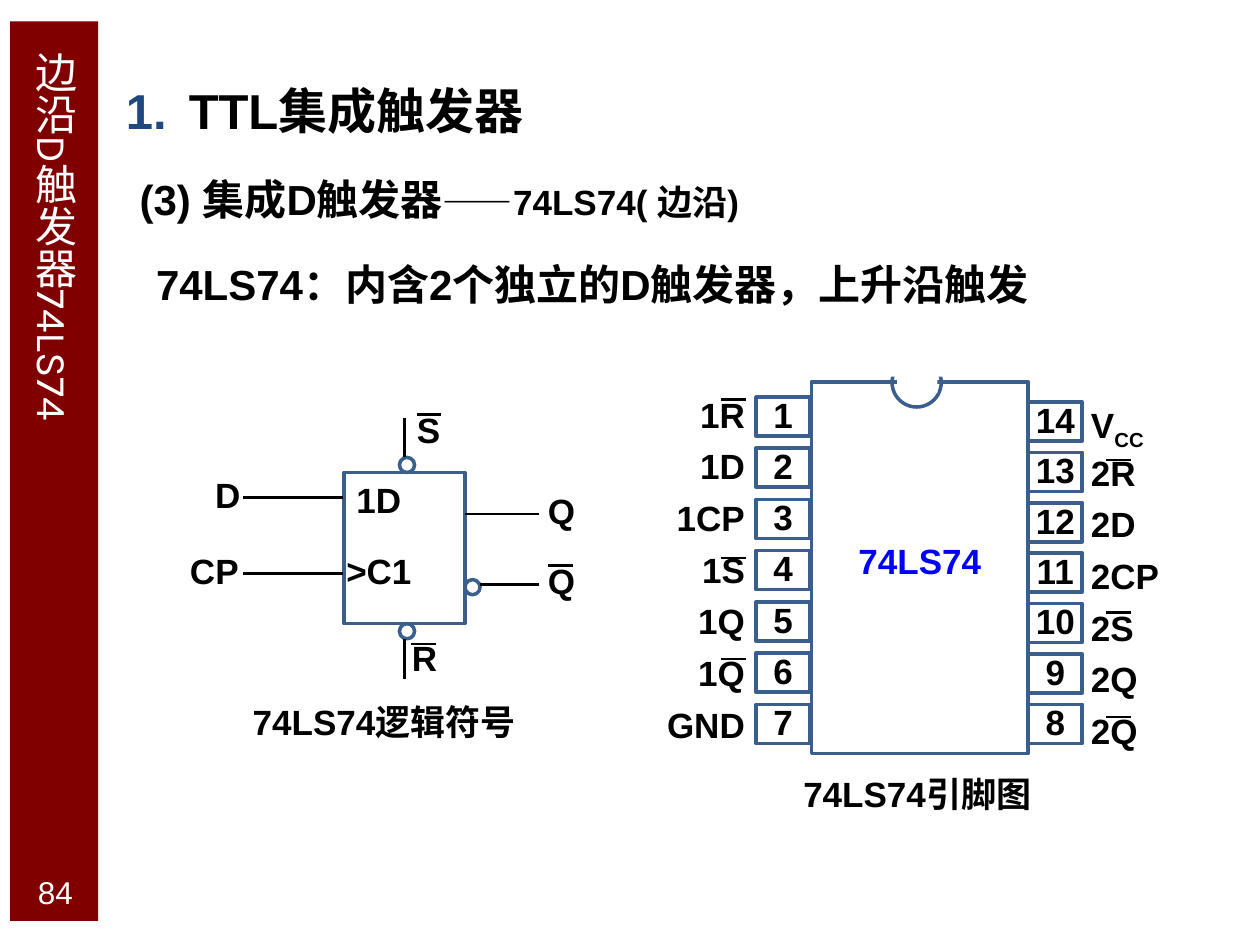
import pptx
import pptx.dml.color
import pptx.enum.shapes
import pptx.enum.text
import pptx.oxml.ns
import pptx.util
from lxml import etree
from pptx.util import Inches, Pt

COLOURS = {"band": "800000", "white": "FFFFFF", "black": "000000",
           "outline": "3A5F8C", "number": "1F497D", "chip": "0000FF"}
ALIGN = pptx.enum.text.PP_ALIGN
SHAPE = pptx.enum.shapes.MSO_SHAPE
RGB = pptx.dml.color.RGBColor.from_string
qn = pptx.oxml.ns.qn


def add_text(shapes, left, top, width, height, *spans, size=20,
             align=ALIGN.LEFT, colour="black", indent=0):
    """Add a bold one-paragraph text box with a hanging indent; return the paragraph."""
    box = shapes.add_textbox(Inches(left), Inches(top), Inches(width), Inches(height))
    box.text_frame.word_wrap = True
    box.text_frame.auto_size = pptx.enum.text.MSO_AUTO_SIZE.SHAPE_TO_FIT_TEXT
    para = box.text_frame.paragraphs[0]
    para.alignment = align
    para.line_spacing = 0.9
    if indent:
        properties = para._p.get_or_add_pPr()
        properties.set("marL", str(Inches(indent)))
        properties.set("indent", str(-Inches(indent)))
    for words in spans:
        span = para.add_run()
        span.text = words
        span.font.name = "Arial"
        span.font.size = Pt(size)
        span.font.bold = True
        span.font.color.rgb = RGB(COLOURS[colour])
    return para


def add_shape(shapes, kind, left, top, width, height, fill=None, line=None):
    shape = shapes.add_shape(kind, Inches(left), Inches(top), Inches(width), Inches(height))
    shape.shadow.inherit = False
    if fill:
        shape.fill.solid()
        shape.fill.fore_color.rgb = RGB(COLOURS[fill])
    else:
        shape.fill.background()
    if line:
        shape.line.color.rgb = RGB(COLOURS[line])
        shape.line.width = Pt(2)
    else:
        shape.line.fill.background()
    return shape


deck = pptx.Presentation()
deck.slide_width, deck.slide_height = Inches(10), Inches(7.5)
page = deck.slides.add_slide(deck.slide_layouts[5])

# Side band with the vertical title
band = add_shape(page.shapes, SHAPE.RECTANGLE, 0.08, 0.17, 0.7, 7.14, fill="band")
page.shapes._spTree.insert(2, band._element)
title = page.shapes.title
title.left, title.top, title.width, title.height = map(Inches, (0.13, 0.36, 0.61, 5.73))
title.text_frame.text = "边沿D触发器74LS74"
title.text_frame.word_wrap = True
title.text_frame.auto_size = pptx.enum.text.MSO_AUTO_SIZE.NONE
title.text_frame.vertical_anchor = pptx.enum.text.MSO_ANCHOR.MIDDLE
title.text_frame._txBody.bodyPr.set("vert", "eaVert")
para = title.text_frame.paragraphs[0]
para.alignment = ALIGN.LEFT
para.runs[0].font.name = "Karla"
para.runs[0].font.size = Pt(24)
para.runs[0].font.color.rgb = RGB(COLOURS["white"])

# Headings and captions
heading = add_text(page.shapes, 0.9, 0.64, 9.1, 0.57, "TTL集成触发器", size=28, indent=0.5)
properties = heading._p.get_or_add_pPr()
bullet_colour = etree.SubElement(properties, qn("a:buClr"))
etree.SubElement(bullet_colour, qn("a:srgbClr"), val=COLOURS["number"])
etree.SubElement(properties, qn("a:buFont"), typeface="+mj-lt")
etree.SubElement(properties, qn("a:buAutoNum"), type="arabicPeriod")

subheading = add_text(page.shapes, 1.01, 1.37, 8.99, 0.5, "(3) 集成D触发器",
                      "——74LS74( 边沿)", size=24, indent=0.5)
subheading.runs[1].font.size = Pt(20)
add_text(page.shapes, 1.14, 2.05, 8.86, 0.5,
         "74LS74：内含2个独立的D触发器，上升沿触发", size=24, indent=0.38)
add_text(page.shapes, 1.61, 5.55, 2.88, 0.43, "74LS74逻辑符号", align=ALIGN.CENTER, indent=0.38)
add_text(page.shapes, 6.04, 6.12, 2.48, 0.43, "74LS74引脚图", align=ALIGN.CENTER, indent=0.38)

# Logic symbol
symbol = page.shapes.add_group_shape().shapes
add_shape(symbol, SHAPE.RECTANGLE, 2.73, 3.75, 0.96, 1.2, line="outline")
for left, top in [(3.69, 4.6), (3.17, 3.63), (3.17, 4.95)]:
    add_shape(symbol, SHAPE.OVAL, left, top, 0.12, 0.12, line="outline")
for label, left, top in [(">C1", 2.65, 4.35), ("1D", 2.73, 3.79), ("Q", 4.25, 3.87),
                         ("D", 1.61, 3.75), ("CP", 1.41, 4.35), ("Q", 4.25, 4.43),
                         ("S", 3.21, 3.23), ("R", 3.17, 5.04)]:
    add_text(symbol, left, top, 0.76, 0.4, label)
lines = [(symbol, *ends) for ends in [
    (1.93, 3.95, 2.72, 3.95), (1.93, 4.55, 2.72, 4.55),
    (3.81, 4.64, 4.28, 4.64), (3.69, 4.08, 4.28, 4.08),
    (3.21, 3.32, 3.21, 3.63), (3.21, 5.07, 3.21, 5.39),
    (3.31, 3.29, 3.5, 3.29), (3.26, 5.11, 3.46, 5.11), (4.35, 4.49, 4.55, 4.49)]]

# Chip body, with white covers that leave only the lower half of the notch
chip = page.shapes.add_group_shape().shapes
add_shape(chip, SHAPE.RECTANGLE, 6.44, 3.03, 1.72, 2.95, line="outline")
add_shape(chip, SHAPE.OVAL, 7.08, 2.84, 0.39, 0.39, line="outline")
add_text(chip, 6.44, 4.27, 1.72, 0.43, "74LS74", align=ALIGN.CENTER, colour="chip")
add_shape(chip, SHAPE.RECTANGLE, 6.84, 2.8, 1.02, 0.19, fill="white")
add_shape(chip, SHAPE.RECTANGLE, 7.12, 2.84, 0.32, 0.28, fill="white")

# Pins from top to bottom: label and height of its overline
left_pins = [("1R", 3.17), ("1D", None), ("1CP", None), ("1S", 4.43),
             ("1Q", None), ("1Q", 5.23), ("GND", None)]
right_pins = [("V", None), ("2R", 3.65), ("2D", None), ("2CP", None),
              ("2S", 4.86), ("2Q", None), ("2Q", 5.69)]
sides = [  # pins, first number, step, pin left and top, label left and top, align, bar left
    (left_pins, 1, 1, 6, 3.15, 5.09, 3.11, ALIGN.RIGHT, 5.72),
    (right_pins, 14, -1, 8.16, 3.19, 8.56, 3.16, ALIGN.LEFT, 8.78)]
for pins, first, step, pin_left, pin_top, label_left, label_top, align, bar_left in sides:
    pitch = (5.59 - pin_top) / 6
    for row, (label, bar) in enumerate(pins):
        top = pin_top + row * pitch
        add_shape(chip, SHAPE.RECTANGLE, pin_left, top, 0.43, 0.31, line="outline")
        add_text(chip, pin_left - 0.08, top - 0.04, 0.59, 0.4,
                 str(first + step * row), align=ALIGN.CENTER)
        name = add_text(chip, label_left, label_top + row * 0.41, 0.92, 0.4,
                        *([label, "CC"] if label == "V" else [label]), align=align)
        if label == "V":
            name.runs[1]._r.get_or_add_rPr().set("baseline", "-25000")
        if bar:
            lines.append((chip, bar_left, bar, bar_left + 0.2, bar))

for shapes, *ends in lines:
    line = shapes.add_connector(pptx.enum.shapes.MSO_CONNECTOR.STRAIGHT, *map(Inches, ends))
    line.line.color.rgb = RGB(COLOURS["black"])
    line.line.width = Pt(1.5)
    etree.SubElement(line._element.spPr, qn("a:effectLst"))

# Page number
number = add_shape(page.shapes, SHAPE.RECTANGLE, 0.12, 6.9, 0.64, 0.35)
number.text_frame.text = "84"
para = number.text_frame.paragraphs[0]
para.alignment = ALIGN.CENTER
para.runs[0].font.name = "Arial"
para.runs[0].font.size = Pt(18)
para.runs[0].font.color.rgb = RGB(COLOURS["white"])

deck.save("out.pptx")
